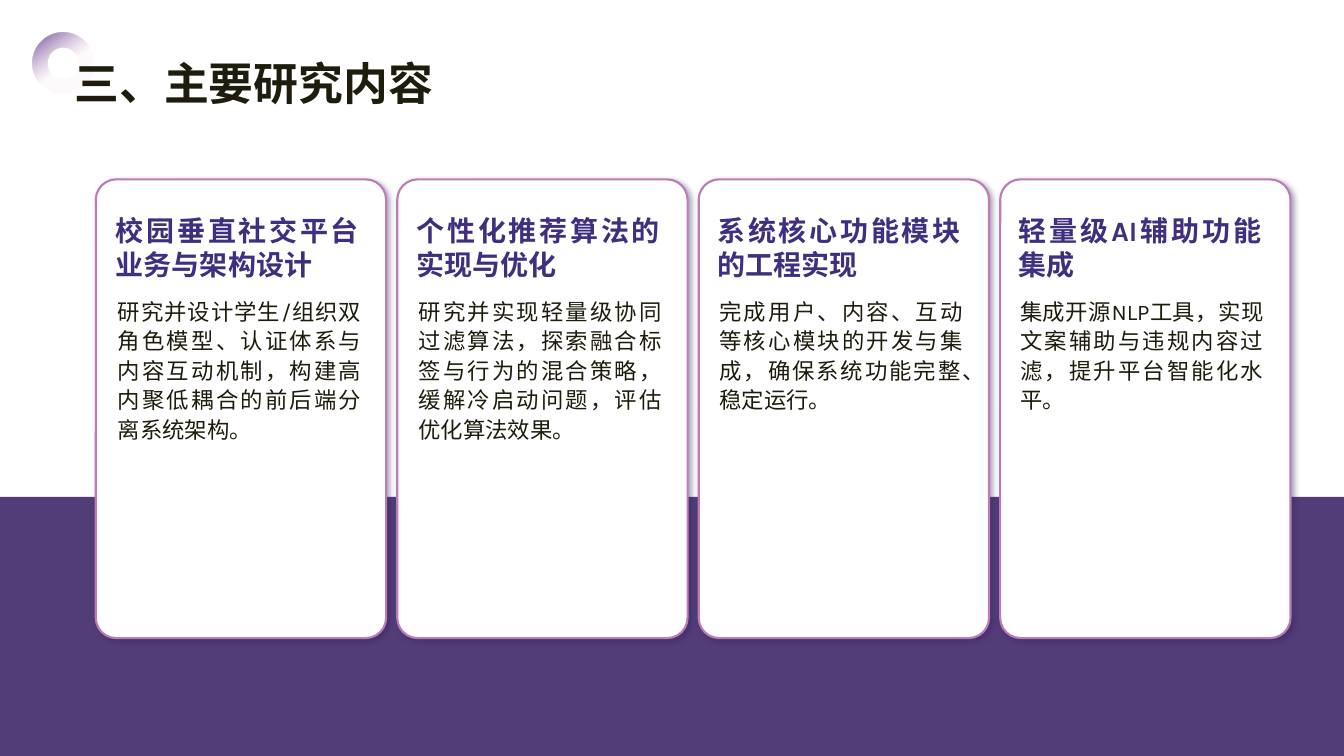
"""Build the slide on the main research topics: four cards over a purple band."""
from dataclasses import dataclass

import lxml.etree
import pptx
import pptx.dml.color
import pptx.enum.shapes
import pptx.enum.text
import pptx.oxml
import pptx.oxml.ns
import pptx.shapes.autoshape
import pptx.slide
import pptx.util

RGBColor = pptx.dml.color.RGBColor
Preset = pptx.enum.shapes.MSO_SHAPE

WHITE = RGBColor(0xFF, 0xFF, 0xFF)
BAND_PURPLE = RGBColor(0x53, 0x3D, 0x78)
INDIGO = RGBColor(0x40, 0x2E, 0x7F)
ORCHID = RGBColor(0xBC, 0x7D, 0xB7)
SHADOW_INDIGO = RGBColor(0x30, 0x22, 0x5F)
INK = RGBColor(0x1E, 0x1C, 0x0D)

FONT = "Karla"
SLIDE_WIDTH = pptx.util.Inches(13.33)
SLIDE_HEIGHT = pptx.util.Inches(7.5)
NAMESPACE = pptx.oxml.ns.nsdecls("a")


@dataclass(frozen=True)
class Area:
    """A rectangle in percent of the slide's width and height."""

    left: float
    top: float
    width: float
    height: float

    def column(self, index: int, pitch: float) -> "Area":
        """Return this area moved right by whole columns."""
        return Area(self.left + index * pitch, self.top, self.width, self.height)

    def emu(self) -> tuple[int, int, int, int]:
        """Return left, top, width and height in EMU."""
        return (
            int(SLIDE_WIDTH * self.left / 100),
            int(SLIDE_HEIGHT * self.top / 100),
            int(SLIDE_WIDTH * self.width / 100),
            int(SLIDE_HEIGHT * self.height / 100),
        )


@dataclass(frozen=True)
class TextStyle:
    """How one kind of text is set."""

    size: int
    color: RGBColor
    bold: bool = False
    justified: bool = True
    line_spacing: float = 1.0


@dataclass(frozen=True)
class Topic:
    """One research topic shown on a card."""

    heading: str
    body: str


RING = Area(2.4, 4.27, 4.58, 8.13)
BAND = Area(0, 65.73, 100, 34.27)
TITLE = Area(4.8, 6.67, 71.27, 7.33)
CARD = Area(7.13, 23.73, 21.6, 60.67)
HEADING = Area(7.88, 27.6, 19.58, 9.47)
BODY = Area(8.03, 38.4, 19.58, 41.73)
CARD_PITCH = 22.43
TEXT_PITCH = 22.38

TITLE_STYLE = TextStyle(32, INK, bold=True, justified=False)
HEADING_STYLE = TextStyle(20, INDIGO, bold=True)
BODY_STYLE = TextStyle(16, INK, line_spacing=1.1)

TOPICS = (
    Topic(
        "校园垂直社交平台业务与架构设计",
        "研究并设计学生/组织双角色模型、认证体系与内容互动机制，构建高内聚低耦合的前后端分离系统架构。",
    ),
    Topic(
        "个性化推荐算法的实现与优化",
        "研究并实现轻量级协同过滤算法，探索融合标签与行为的混合策略，缓解冷启动问题，评估优化算法效果。",
    ),
    Topic(
        "系统核心功能模块的工程实现",
        "完成用户、内容、互动等核心模块的开发与集成，确保系统功能完整、稳定运行。",
    ),
    Topic(
        "轻量级AI辅助功能集成",
        "集成开源NLP工具，实现文案辅助与违规内容过滤，提升平台智能化水平。",
    ),
)


def add_panel(
    slide: pptx.slide.Slide, preset: Preset, area: Area, fill: RGBColor
) -> pptx.shapes.autoshape.Shape:
    """Add a flat preset shape without an outline."""
    panel = slide.shapes.add_shape(preset, *area.emu())
    panel.shadow.inherit = False
    panel.fill.solid()
    panel.fill.fore_color.rgb = fill
    panel.line.fill.background()
    return panel


def add_ring(slide: pptx.slide.Slide) -> None:
    """Add the ring that fades out behind the title."""
    ring = add_panel(slide, Preset.DONUT, RING, INDIGO)
    ring.rotation = 99
    faded = f'<a:srgbClr val="{ORCHID}"><a:alpha val="3000"/></a:srgbClr>'
    gradient = pptx.oxml.parse_xml(
        f'<a:gradFill {NAMESPACE} rotWithShape="1"><a:gsLst>'
        f'<a:gs pos="0"><a:srgbClr val="{INDIGO}"/></a:gs>'
        f'<a:gs pos="54000">{faded}</a:gs><a:gs pos="100000">{faded}</a:gs>'
        '</a:gsLst><a:lin ang="18900000" scaled="0"/></a:gradFill>'
    )
    properties = ring._element.spPr
    properties.replace(properties.find(pptx.oxml.ns.qn("a:solidFill")), gradient)


def add_card(slide: pptx.slide.Slide, area: Area) -> None:
    """Add a rounded white card with a soft shadow."""
    card = add_panel(slide, Preset.ROUNDED_RECTANGLE, area, WHITE)
    card.adjustments[0] = 0.07
    card.line.color.rgb = ORCHID
    card.line.width = pptx.util.Pt(1.5)
    shadow = pptx.oxml.parse_xml(
        f'<a:outerShdw {NAMESPACE} blurRad="{pptx.util.Pt(4)}" '
        f'dist="{pptx.util.Pt(2.1)}" dir="2700000" algn="tl" rotWithShape="0">'
        f'<a:srgbClr val="{SHADOW_INDIGO}"><a:alpha val="40000"/></a:srgbClr>'
        "</a:outerShdw>"
    )
    card._element.spPr.find(pptx.oxml.ns.qn("a:effectLst")).append(shadow)


def add_text(slide: pptx.slide.Slide, area: Area, text: str, style: TextStyle) -> None:
    """Add a wrapped text box in the given style."""
    frame = slide.shapes.add_textbox(*area.emu()).text_frame
    frame.word_wrap = True
    frame.text = text
    paragraph = frame.paragraphs[0]
    paragraph.line_spacing = style.line_spacing
    if style.justified:
        paragraph.alignment = pptx.enum.text.PP_ALIGN.JUSTIFY
    for run in paragraph.runs:
        run.font.name = FONT
        run.font.size = pptx.util.Pt(style.size)
        run.font.bold = style.bold
        run.font.color.rgb = style.color
        east_asian = lxml.etree.SubElement(run.font._element, pptx.oxml.ns.qn("a:ea"))
        east_asian.set("typeface", FONT)


def main() -> None:
    """Draw the slide and save it."""
    presentation = pptx.Presentation()
    presentation.slide_width = SLIDE_WIDTH
    presentation.slide_height = SLIDE_HEIGHT
    slide = presentation.slides.add_slide(presentation.slide_layouts[6])

    add_ring(slide)
    add_panel(slide, Preset.RECTANGLE, BAND, BAND_PURPLE)
    add_text(slide, TITLE, "三、主要研究内容", TITLE_STYLE)
    for index, topic in enumerate(TOPICS):
        add_card(slide, CARD.column(index, CARD_PITCH))
        add_text(slide, HEADING.column(index, TEXT_PITCH), topic.heading, HEADING_STYLE)
        add_text(slide, BODY.column(index, TEXT_PITCH), topic.body, BODY_STYLE)

    presentation.save("out.pptx")


if __name__ == "__main__":
    main()
